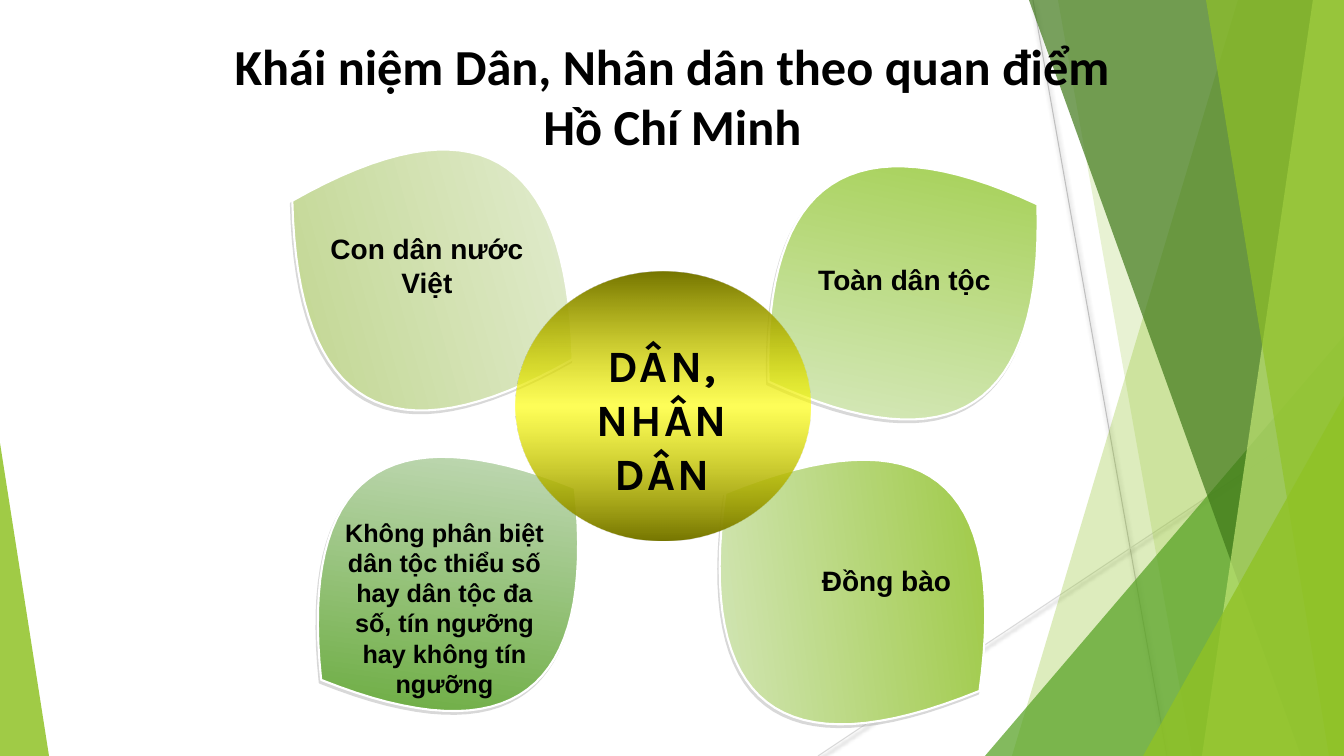
from lxml import etree
from pptx import Presentation
from pptx import util as u
from pptx.dml.color import RGBColor
from pptx.enum import shapes, text
from pptx.oxml.ns import qn

PX = 914400 / 100.8
WIDTH, HEIGHT = 1344, 756

BLACK = RGBColor(0x00, 0x00, 0x00)
WHITE = RGBColor(0xFF, 0xFF, 0xFF)
LIME = RGBColor(0x90, 0xC2, 0x26)
GREEN = RGBColor(0x54, 0xA0, 0x21)
FOREST = RGBColor(0x3F, 0x78, 0x19)
PALE_LIME = RGBColor(0xC0, 0xE4, 0x74)
OLIVE = RGBColor(0x76, 0x76, 0x00)
YELLOW = RGBColor(0xFF, 0xFF, 0x00)
SHADOW_GREY = RGBColor(0xB2, 0xB2, 0xB2)
MID_GREY = RGBColor(0xBF, 0xBF, 0xBF)
LIGHT_GREY = RGBColor(0xD9, 0xD9, 0xD9)

TITLE = "Khái niệm Dân, Nhân dân theo quan điểm Hồ Chí Minh"
TITLE_BOX = (219, 30, 907, 126)

RAYS = [
    ((1033, 0, 1167, 756), MID_GREY),
    ((1344, 406, 818, 756), LIGHT_GREY),
]
FACETS = [
    (1238, 0, 1012, LIME, 30),
    (1058, 0, 1192, LIME, 20),
    (1344, 336, 985, GREEN, 72),
    (1029, 0, 1301, FOREST, 70),
    (1313, 0, 1202, PALE_LIME, 70),
    (1206, 0, 1329, LIME, 65),
    (1344, 396, 1143, LIME, 80),
]
LEFT_FACET = (0, 443, 49, 313)

LEAVES = [
    ((773, 132, 260, 322), 56.6, RGBColor(0xE3, 0xEF, 0xD7), RGBColor(0x99, 0xCA, 0x3C), 225),
    ((316, 425, 264, 318), 52.9, GREEN, RGBColor(0xD9, 0xE5, 0xD6), 225),
    ((713, 431, 279, 322), 307.9, RGBColor(0xE1, 0xED, 0xD6), LIME, 45),
    ((298, 119, 269, 322), 299.5, RGBColor(0xB9, 0xD1, 0x81), RGBColor(0xEA, 0xF1, 0xDF), 45),
]
LEAF_STEPS = 16
CORE = (516, 272, 294, 269)

LABELS = [
    ("Toàn dân tộc", (791, 258, 227, 44), "Arial", 20, 0),
    ("Không phân biệt dân tộc thiểu số hay dân tộc đa số, tín ngưỡng hay không tín ngưỡng",
     (328, 512, 233, 193), "Arial", 18, 0),
    ("Đồng bào", (778, 559, 217, 44), "Arial", 20, 0),
    ("DÂN, NHÂN DÂN", (553, 333, 219, 173), "Karla", 32, 150),
    ("Con dân nước Việt", (305, 227, 244, 78), "Arial", 20, 0),
]


def emu(lengths):
    return [round(length * PX) for length in lengths]


def set_alpha(color_element, percent):
    etree.SubElement(color_element, qn("a:alpha"), val=str(percent * 1000))


def add_shadow(properties, color, alpha, blur, distance, angle):
    effects = properties.find(qn("a:effectLst"))
    if effects is None:
        effects = etree.SubElement(properties, qn("a:effectLst"))
    outer = etree.SubElement(effects, qn("a:outerShdw"), blurRad=str(u.Pt(blur)),
                             dist=str(u.Pt(distance)), dir=str(angle * 60000),
                             algn="ctr", rotWithShape="0")
    set_alpha(etree.SubElement(outer, qn("a:srgbClr"), val=str(color)), alpha)


def fill_gradient(shape, stops, angle):
    shape.fill.gradient()
    shape.fill.gradient_angle = 360 - angle
    stop_list = shape._element.spPr.find(".//" + qn("a:gsLst"))
    for old_stop in list(stop_list):
        stop_list.remove(old_stop)
    for position, color, alpha in stops:
        stop = etree.SubElement(stop_list, qn("a:gs"), pos=str(position * 1000))
        color_element = etree.SubElement(stop, qn("a:srgbClr"), val=str(color))
        if alpha < 100:
            set_alpha(color_element, alpha)


def fill_facet(facet, color, alpha):
    facet.shadow.inherit = False
    facet.fill.solid()
    facet.fill.fore_color.rgb = color
    set_alpha(facet._element.spPr.find(".//" + qn("a:srgbClr")), alpha)
    facet.line.fill.background()


def add_outline(slide, points):
    start, *others = [emu(point) for point in points]
    builder = slide.shapes.build_freeform(*start)
    builder.add_line_segments(others, close=True)
    return builder.convert_to_shape()


def add_triangle(slide, box, apex):
    triangle = slide.shapes.add_shape(shapes.MSO_SHAPE.ISOSCELES_TRIANGLE, *emu(box))
    triangle.adjustments[0] = apex
    return triangle


def add_backdrop(slide):
    for ends, color in RAYS:
        ray = slide.shapes.add_connector(shapes.MSO_CONNECTOR.STRAIGHT, *emu(ends))
        ray.line.color.rgb = color
        ray.line.width = u.Pt(0.75)
        add_shadow(ray._element.spPr, BLACK, 38, 3.1, 1.6, 90)
    for top_x, top_y, foot_x, color, alpha in FACETS:
        if top_y:
            facet = add_triangle(slide, (foot_x, top_y, WIDTH - foot_x, HEIGHT - top_y), 1)
        else:
            facet = add_outline(slide, [(top_x, 0), (WIDTH, 0), (WIDTH, HEIGHT), (foot_x, HEIGHT)])
        fill_facet(facet, color, alpha)
    fill_facet(add_triangle(slide, LEFT_FACET, 0), LIME, 85)


def add_leaf(slide, box, rotation, first, last, angle):
    left, top, width, height = box
    heights = [step / LEAF_STEPS for step in range(-LEAF_STEPS, LEAF_STEPS)]
    rim = [(1 - y * y, y) for y in heights] + [(y * y - 1, -y) for y in heights]
    leaf = add_outline(slide, [(left + width * (1 + x) / 2, top + height * (1 + y) / 2)
                               for x, y in rim])
    leaf.rotation = rotation
    leaf.shadow.inherit = False
    fill_gradient(leaf, [(0, first, 100), (100, last, 100)], angle)
    leaf.line.color.rgb = WHITE
    leaf.line.width = u.Pt(1.5)
    add_shadow(leaf._element.spPr, SHADOW_GREY, 50, 0, 2.2, 117)


def add_core(slide):
    core = slide.shapes.add_shape(shapes.MSO_SHAPE.OVAL, *emu(CORE))
    core.shadow.inherit = False
    fill_gradient(core, [(0, OLIVE, 100), (50, YELLOW, 65), (100, OLIVE, 100)], 90)
    core.line.fill.background()


def write(frame, words, font_name, size):
    frame.text = words
    frame.word_wrap = True
    frame.auto_size = text.MSO_AUTO_SIZE.NONE
    frame.vertical_anchor = text.MSO_ANCHOR.TOP
    paragraph = frame.paragraphs[0]
    paragraph.alignment = text.PP_ALIGN.CENTER
    paragraph.font.name = font_name
    paragraph.font.size = u.Pt(size)
    paragraph.font.bold = True
    paragraph.font.color.rgb = BLACK
    return paragraph


def main():
    deck = Presentation()
    deck.slide_width, deck.slide_height = emu((WIDTH, HEIGHT))
    slide = deck.slides.add_slide(deck.slide_layouts[5])
    add_backdrop(slide)
    for leaf in LEAVES:
        add_leaf(slide, *leaf)
    add_core(slide)
    for words, box, font_name, size, spacing in LABELS:
        label = slide.shapes.add_textbox(*emu(box))
        paragraph = write(label.text_frame, words, font_name, size)
        if spacing:
            paragraph.runs[0].font._element.set("spc", str(spacing))
    title = slide.shapes.title
    title.left, title.top, title.width, title.height = emu(TITLE_BOX)
    write(title.text_frame, TITLE, "Calibri", 36)
    slide.shapes._spTree.append(title._element)
    deck.save("out.pptx")


if __name__ == "__main__":
    main()
